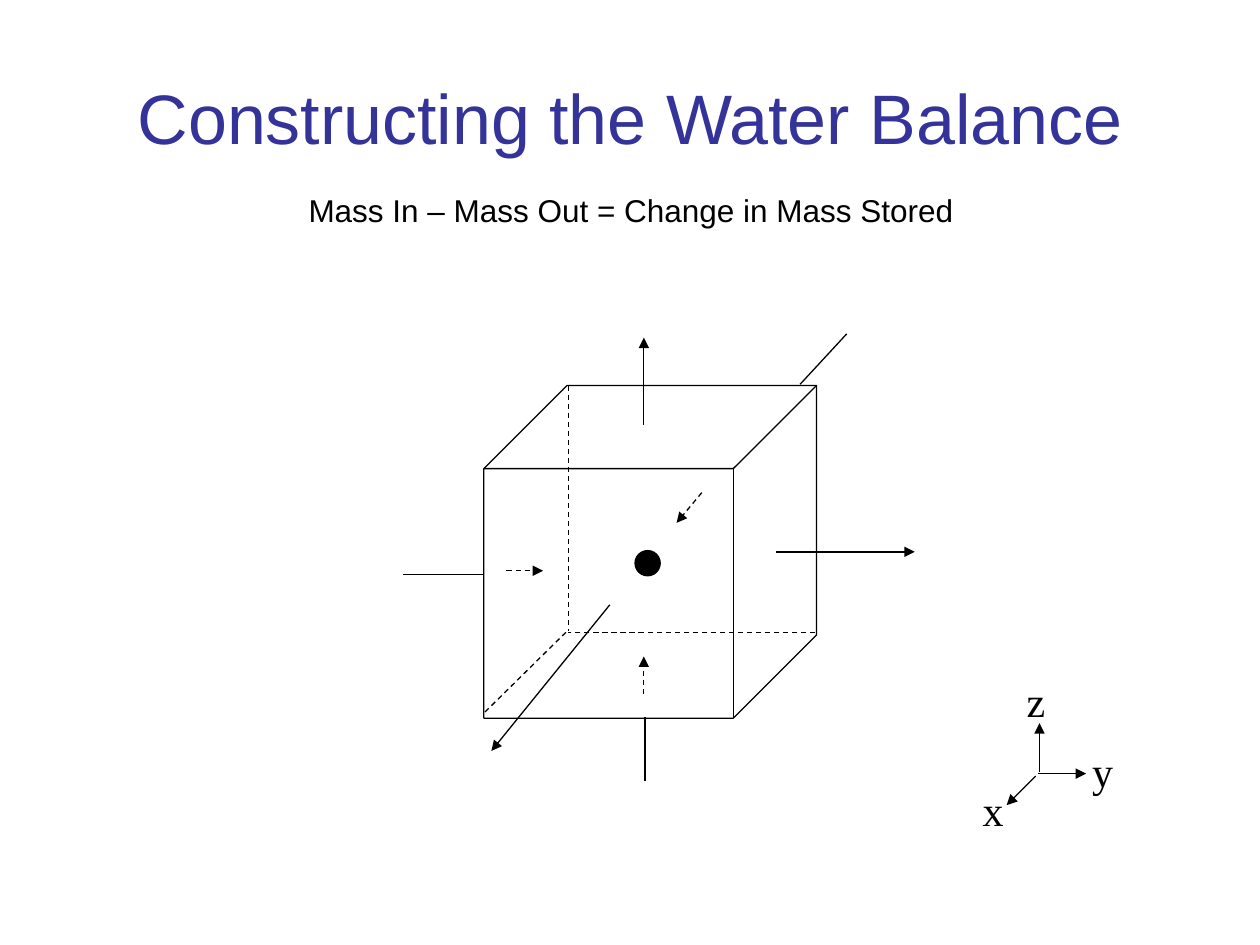
from lxml import etree
from pptx import Presentation
from pptx.dml.color import RGBColor
from pptx.enum.dml import MSO_LINE
from pptx.enum.shapes import MSO_CONNECTOR, MSO_SHAPE
from pptx.enum.text import MSO_ANCHOR, MSO_AUTO_SIZE, PP_ALIGN
from pptx.oxml.ns import qn
from pptx.util import Inches, Pt

STRAIGHT = MSO_CONNECTOR.STRAIGHT
CUBE, OVAL = MSO_SHAPE.CUBE, MSO_SHAPE.OVAL
DASH = MSO_LINE.DASH
MIDDLE, CENTER = MSO_ANCHOR.MIDDLE, PP_ALIGN.CENTER
FIT_SHAPE = MSO_AUTO_SIZE.SHAPE_TO_FIT_TEXT

COLORS = {"title": "333399", "ink": "000000"}
FORMATS = {
    "title": {"name": "Arial", "size": Pt(40), "bold": False},
    "equation": {"name": "Arial", "size": Pt(18)},
    "axis": {"name": "Times New Roman", "size": Pt(24)},
}
AXIS_ARROWS = [
    (8.25, 6.13, 8.25, 5.74),
    (8.24, 6.14, 8.62, 6.14),
    (8.22, 6.16, 7.99, 6.39),
]
AXIS_LABELS = [
    ("z", 8.05, 5.31, 0.35),
    ("y", 8.57, 5.87, 0.37),
    ("x", 7.7, 6.18, 0.37),
]
HIDDEN_EDGES = [
    (6.47, 5.02, 4.51, 5.02),
    (3.85, 5.65, 4.51, 5),
    (4.51, 3.06, 4.51, 5.01),
]
INFLOW_TAILS = [
    (5.12, 5.69, 5.12, 6.2),
    (6.72, 2.65, 6.35, 3.05),
    (3.84, 4.56, 3.2, 4.56),
]
INFLOW_ARROWS = [
    (5.11, 5.51, 5.11, 5.21),
    (5.57, 3.91, 5.37, 4.15),
    (4.02, 4.53, 4.31, 4.53),
]
OUTFLOW_ARROWS = [
    (5.11, 3.37, 5.11, 2.68),
    (4.84, 4.8, 3.9, 5.96),
    (6.16, 4.38, 7.26, 4.38),
]


class SlideBuilder:
    """Draws styled elements on the current slide."""

    def __init__(self, slide):
        self.slide = slide
        self.shapes = slide.shapes

    def start_group(self):
        self.shapes = self.slide.shapes.add_group_shape().shapes

    def add_text(self, shape, text, style, color="ink"):
        paragraph = shape.text_frame.paragraphs[0]
        run = paragraph.add_run()
        run.text = text
        for attribute, value in FORMATS[style].items():
            setattr(run.font, attribute, value)
        run.font.color.rgb = RGBColor.from_string(COLORS[color])
        return paragraph

    def title(self, text, left, top, width, height):
        shape = self.slide.shapes.title
        bounds = {"left": left, "top": top, "width": width, "height": height}
        for attribute, value in bounds.items():
            setattr(shape, attribute, Inches(value))
        shape.text_frame.vertical_anchor = MIDDLE
        self.add_text(shape, text, "title", "title").alignment = CENTER

    def label(self, text, left, top, width, height, style):
        shape = self.shapes.add_textbox(*map(Inches, (left, top, width, height)))
        shape.text_frame.word_wrap = False
        shape.text_frame.auto_size = FIT_SHAPE
        self.add_text(shape, text, style)

    def outline(self, shape):
        shape.line.color.rgb = RGBColor.from_string(COLORS["ink"])
        shape.line.width = Pt(0.75)

    def solid(self, kind, left, top, size, fill=None):
        shape = self.shapes.add_shape(kind, *map(Inches, (left, top, size, size)))
        shape.shadow.inherit = False
        self.outline(shape)
        if fill:
            shape.fill.solid()
            shape.fill.fore_color.rgb = RGBColor.from_string(COLORS[fill])
        else:
            shape.fill.background()

    def lines(self, segments, dashed=False, arrow=False):
        for segment in segments:
            connector = self.shapes.add_connector(STRAIGHT, *map(Inches, segment))
            self.outline(connector)
            if dashed:
                connector.line.dash_style = DASH
            properties = connector._element.spPr
            if arrow:
                line = properties.find(qn("a:ln"))
                etree.SubElement(line, qn("a:tailEnd"), type="triangle")
            etree.SubElement(properties, qn("a:effectLst"))


def main():
    """Build the water balance slide."""
    presentation = Presentation()
    presentation.slide_width = Inches(10)
    presentation.slide_height = Inches(7.5)
    slide = presentation.slides.add_slide(presentation.slide_layouts[5])
    builder = SlideBuilder(slide)

    builder.title("Constructing the Water Balance", 0.5, 0.3, 9, 1.25)
    builder.label("Mass In – Mass Out = Change in Mass Stored",
                  2.35, 1.47, 5.32, 0.4, "equation")

    builder.start_group()
    builder.lines(AXIS_ARROWS, arrow=True)
    for text, left, top, width in AXIS_LABELS:
        builder.label(text, left, top, width, 0.5, "axis")

    builder.start_group()
    builder.solid(CUBE, 3.84, 3.06, 2.64)
    builder.lines(HIDDEN_EDGES, dashed=True)
    builder.solid(OVAL, 5.04, 4.37, 0.2, fill="ink")
    builder.lines(INFLOW_TAILS)
    builder.lines(INFLOW_ARROWS, dashed=True, arrow=True)
    builder.lines(OUTFLOW_ARROWS, arrow=True)

    presentation.save("out.pptx")


if __name__ == "__main__":
    main()
